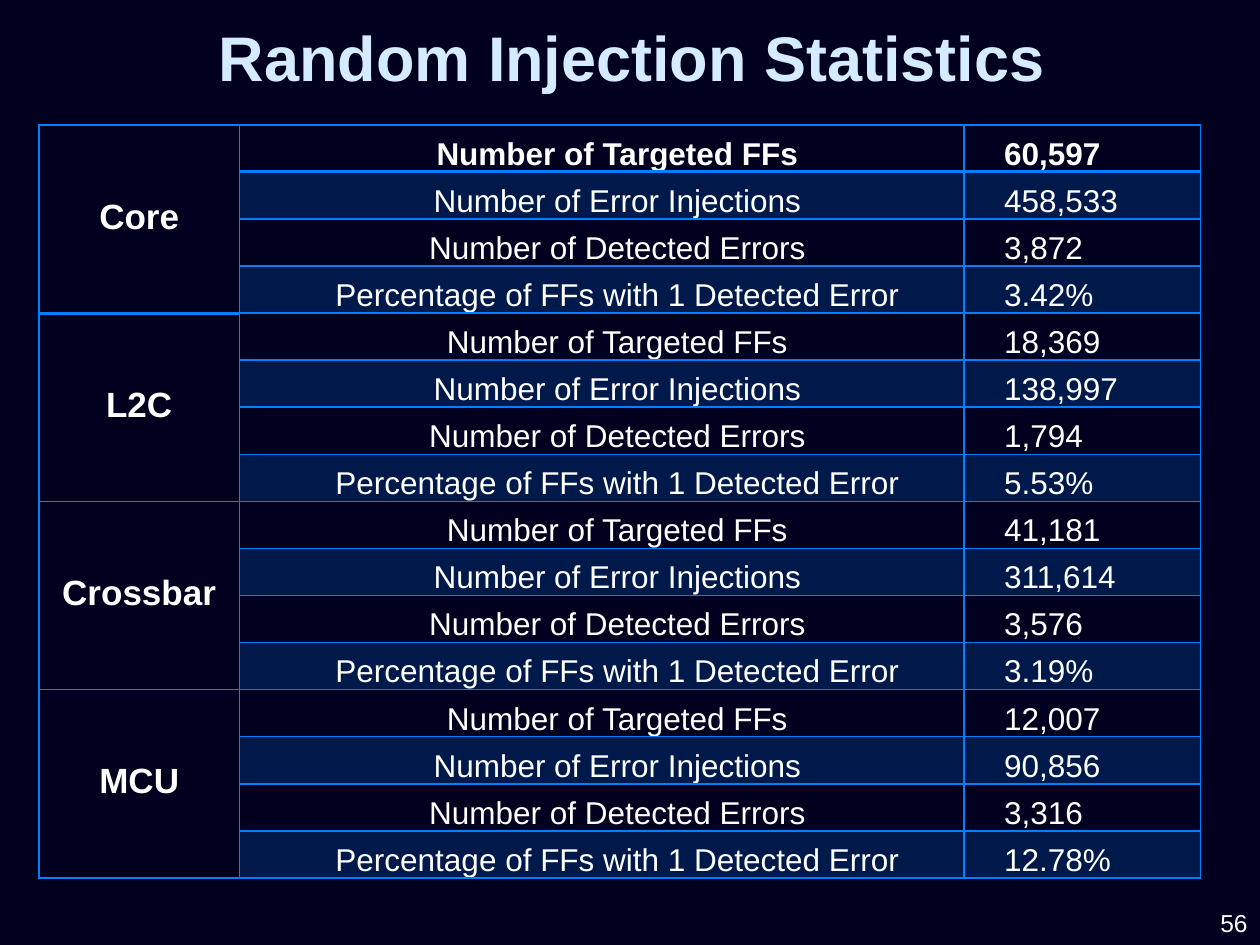
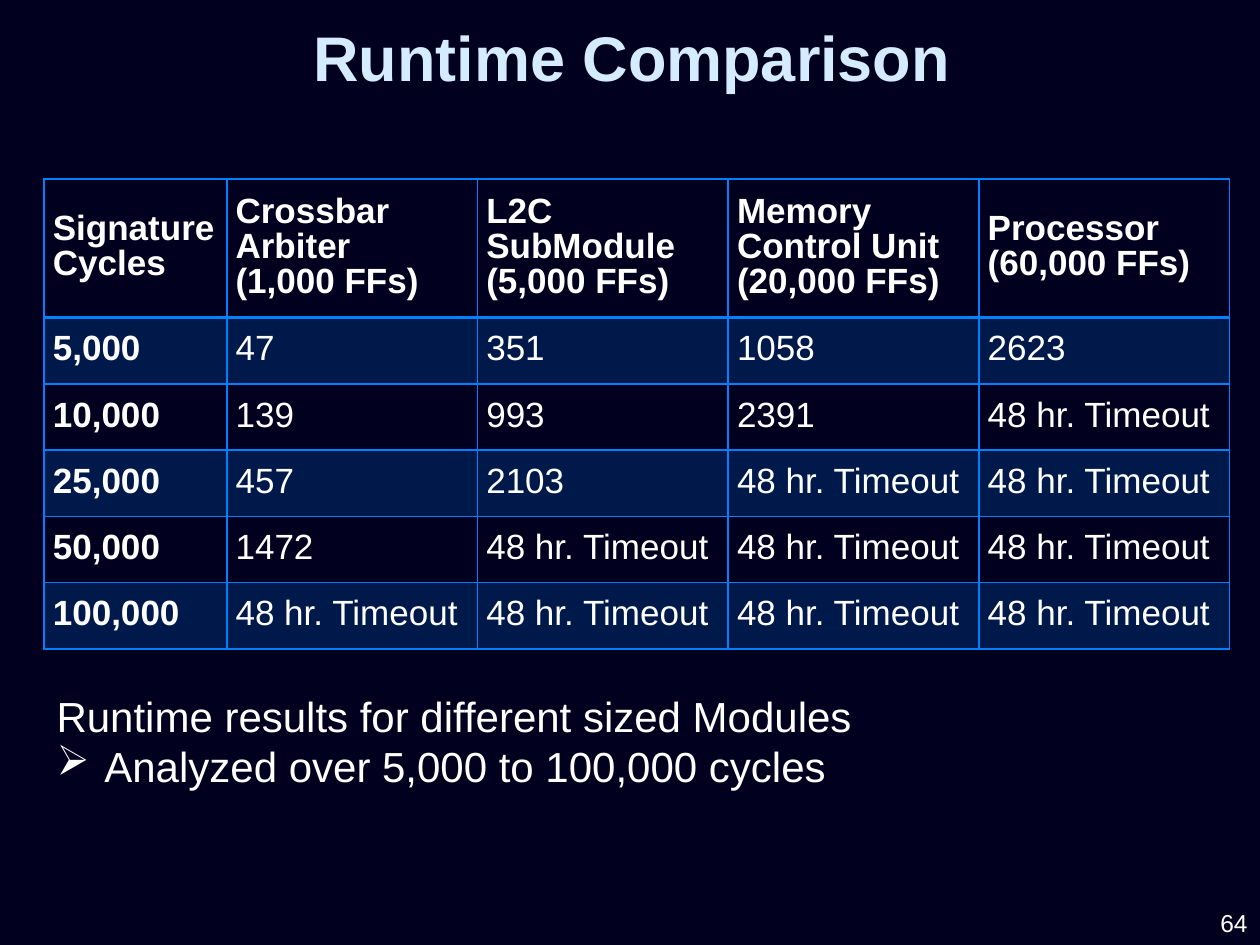
from lxml.etree import SubElement
from pptx import Presentation
from pptx.dml.color import RGBColor
from pptx.enum.text import MSO_ANCHOR, MSO_AUTO_SIZE, PP_ALIGN
from pptx.oxml import parse_xml
from pptx.oxml.ns import nsdecls, qn
from pptx.util import Inches, Pt

COLOURS = {"page": "01001E", "title": "D5EBFF", "text": "FFFFFF", "accent": "0080FF"}
FONT = "Arial"
PLAIN_TABLE_STYLE = "{2D5ABB26-0587-4C30-8999-92F81FD0307C}"
BAND_OPACITY = 20

MEASURES = ["Number of Targeted FFs", "Number of Error Injections",
            "Number of Detected Errors", "Percentage of FFs with 1 Detected Error"]
INJECTIONS = {
    "Core": ["60,597", "458,533", "3,872", "3.42%"],
    "L2C": ["18,369", "138,997", "1,794", "5.53%"],
    "Crossbar": ["41,181", "311,614", "3,576", "3.19%"],
    "MCU": ["12,007", "90,856", "3,316", "12.78%"],
}
TIMEOUT = "48 hr. Timeout"
MODULES = ["Signature Cycles", "Crossbar Arbiter\n(1,000 FFs)", "L2C\nSubModule\n(5,000 FFs)",
           "Memory Control Unit\n(20,000 FFs)", "Processor\n(60,000 FFs)"]
RUNTIMES = {
    "5,000": ["47", "351", "1058", "2623"],
    "10,000": ["139", "993", "2391"],
    "25,000": ["457", "2103"],
    "50,000": ["1472"],
    "100,000": [],
}


def set_font(paragraph, size, colour="text", bold=False):
    """Set the shared typeface with a size, colour and weight."""
    font = paragraph.font
    font.name, font.size, font.bold = FONT, Pt(size), bold
    font.color.rgb = RGBColor.from_string(COLOURS[colour])


def add_text(page, frame, lines, size, colour="text", bold=False, align=PP_ALIGN.LEFT,
             anchor=MSO_ANCHOR.TOP, wrap=True, bulleted=()):
    """Add a text box with one paragraph per line, bulleting the given lines."""
    box = page.shapes.add_textbox(*map(Inches, frame)).text_frame
    box.word_wrap = wrap
    box.vertical_anchor = anchor
    box.auto_size = MSO_AUTO_SIZE.SHAPE_TO_FIT_TEXT if wrap else MSO_AUTO_SIZE.NONE
    box.text = "\n".join(lines)
    for index, paragraph in enumerate(box.paragraphs):
        paragraph.alignment = align
        if index in bulleted:
            properties = paragraph._p.get_or_add_pPr()
            properties.set("marL", str(Inches(0.38)))
            properties.set("indent", str(-Inches(0.38)))
            SubElement(properties, qn("a:buChar"), char="➢")
        set_font(paragraph, size, colour, bold)


def add_page(deck, title, number):
    """Add a page with the shared background, title and page number."""
    page = deck.slides.add_slide(deck.slide_layouts[6])
    page.background.fill.solid()
    page.background.fill.fore_color.rgb = RGBColor.from_string(COLOURS["page"])
    add_text(page, (0.11, 0.09, 9.81, 0.71), [title], 36, "title", True,
             PP_ALIGN.CENTER, MSO_ANCHOR.MIDDLE)
    add_text(page, (8.18, 7.15, 1.82, 0.35), [str(number)], 14, align=PP_ALIGN.RIGHT,
             anchor=MSO_ANCHOR.MIDDLE, wrap=False)
    return page


def add_grid(page, left, top, widths, heights):
    """Add an unstyled table with the given column widths and row heights."""
    frame = page.shapes.add_table(len(heights), len(widths), Inches(left), Inches(top),
                                  Inches(sum(widths)), Inches(sum(heights)))
    table = frame.table
    table.first_row = table.horz_banding = False
    table._tbl.tblPr.find(qn("a:tableStyleId")).text = PLAIN_TABLE_STYLE
    for column, width in zip(table.columns, widths):
        column.width = Inches(width)
    for row, height in zip(table.rows, heights):
        row.height = Inches(height)
    return table


def style_cell(cell, banded=False, heavy=""):
    """Fill a cell and rule its sides, doubling the sides named in heavy."""
    properties = cell._tc.get_or_add_tcPr()
    if banded:
        cell.fill.solid()
        cell.fill.fore_color.rgb = RGBColor.from_string(COLOURS["accent"])
        colour = properties.find(".//" + qn("a:srgbClr"))
        SubElement(colour, qn("a:alpha"), val=str(BAND_OPACITY * 1000))
    else:
        cell.fill.background()
    for position, side in enumerate("LRTB"):
        width = Pt(2 if side in heavy else 1)
        properties.insert(position, parse_xml(
            f'<a:ln{side} {nsdecls("a")} w="{width}"><a:solidFill>'
            f'<a:srgbClr val="{COLOURS["accent"]}"/></a:solidFill></a:ln{side}>'))


def write_cell(cell, text, size, bold=False, align=PP_ALIGN.JUSTIFY,
               anchor=MSO_ANCHOR.MIDDLE, indent=0):
    """Write text into a cell on a fixed line pitch."""
    cell.margin_left = cell.margin_right = Inches(0.07)
    cell.margin_top = cell.margin_bottom = 0
    cell.vertical_anchor = anchor
    cell.text = text
    for paragraph in cell.text_frame.paragraphs:
        paragraph.alignment = align
        paragraph.line_spacing = Pt(20)
        if indent:
            paragraph._p.get_or_add_pPr().set("indent", str(Inches(indent)))
        set_font(paragraph, size, bold=bold)


def add_injection_table(page):
    """Add the injection statistics, grouped by component."""
    group_size = len(MEASURES)
    row_count = group_size * len(INJECTIONS)
    table = add_grid(page, 0.31, 0.99, [1.59, 5.75, 1.88], [5.98 / row_count] * row_count)
    heavy_sides = {0: "B", 1: "T"}
    for group, (component, values) in enumerate(INJECTIONS.items()):
        first = group * group_size
        for offset, (measure, value) in enumerate(zip(MEASURES, values)):
            row = first + offset
            style_cell(table.cell(row, 0), heavy=heavy_sides.get(group, ""))
            for column, text, align in ((1, measure, PP_ALIGN.CENTER),
                                        (2, value, PP_ALIGN.JUSTIFY)):
                cell = table.cell(row, column)
                style_cell(cell, row % 2 == 1, heavy_sides.get(row, ""))
                write_cell(cell, text, 18, row == 0, align, MSO_ANCHOR.BOTTOM, 0.25)
        name_cell = table.cell(first, 0)
        name_cell.merge(table.cell(first + group_size - 1, 0))
        write_cell(name_cell, component, 20, True, PP_ALIGN.CENTER)


def add_runtime_table(page):
    """Add the runtimes, filling each row up with timeouts."""
    rows = [MODULES]
    for cycles, times in RUNTIMES.items():
        missing = len(MODULES) - 1 - len(times)
        rows.append([cycles] + times + [TIMEOUT] * missing)
    heights = [1.1] + [2.63 / len(RUNTIMES)] * len(RUNTIMES)
    table = add_grid(page, 0.35, 1.42, [1.45] + [1.99] * 4, heights)
    for row, texts in enumerate(rows):
        for column, text in enumerate(texts):
            cell = table.cell(row, column)
            style_cell(cell, row % 2 == 1, {0: "B", 1: "T"}.get(row, ""))
            write_cell(cell, text, 20, row == 0 or column == 0)


def main():
    """Build and save the deck."""
    deck = Presentation()
    deck.slide_width, deck.slide_height = Inches(10), Inches(7.5)
    add_injection_table(add_page(deck, "Random Injection Statistics", 56))
    page = add_page(deck, "Runtime Comparison", 64)
    add_runtime_table(page)
    add_text(page, (0.35, 5.43, 9.18, 0.91),
             ["Runtime results for different sized Modules",
              "Analyzed over 5,000 to 100,000 cycles"], 24, bulleted=(1,))
    deck.save("out.pptx")


if __name__ == "__main__":
    main()
